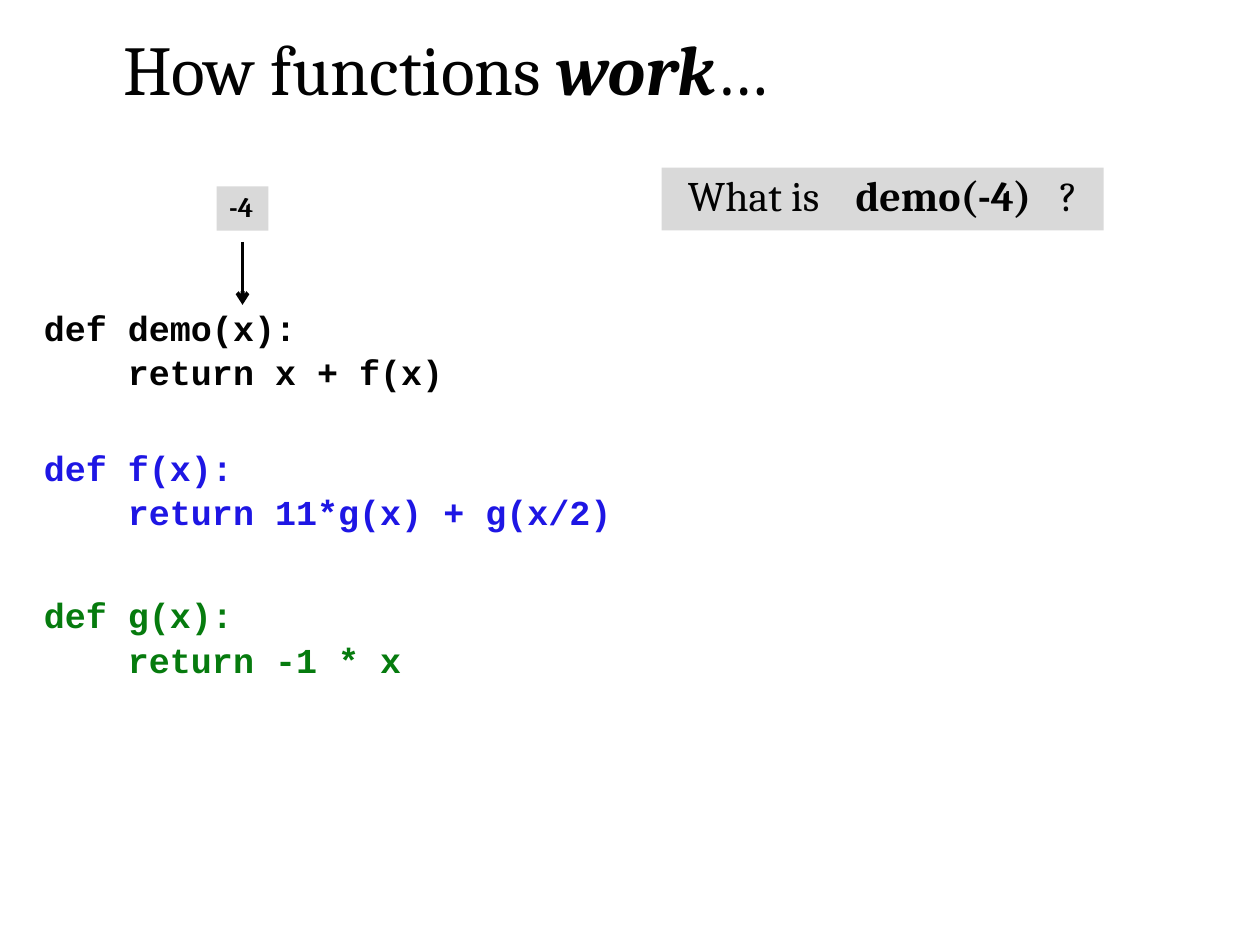
from dataclasses import dataclass
from lxml import etree
from pptx import Presentation
from pptx.dml.color import RGBColor
from pptx.enum import shapes, text
from pptx.oxml import ns
from pptx.util import Inches, Pt


@dataclass(frozen=True)
class Theme:
    """Colours, fonts and type sizes of the slide."""
    ink: str = "020202"
    blue: str = "1E16E4"
    green: str = "067B0E"
    gray: str = "D9D9D9"
    serif: str = "Cambria"
    mono: str = "Courier New"
    title: int = 40
    ask: int = 24
    code: int = 20
    value: int = 16


T = Theme()


def rgb(code):
    """Turn a hex code into a colour."""
    return RGBColor.from_string(code)


def apply(item, **vals):
    """Set each named attribute of an item."""
    for key, val in vals.items():
        setattr(item, key, val)


def place(shape, box):
    """Move a shape to a box given in inches."""
    names = ("left", "top", "width", "height")
    apply(shape, **dict(zip(names, map(Inches, box))))


def write(para, runs, size, face=T.serif, color=T.ink):
    """Add runs of text, each with its own weight and slant."""
    for words, bold, slant in runs:
        run = para.add_run()
        run.text = words
        apply(run.font, size=Pt(size), name=face, bold=bold, italic=slant)
        run.font.color.rgb = rgb(color)


def heading(slide, box):
    """Fill the title placeholder."""
    title = slide.shapes.title
    place(title, box)
    frame = title.text_frame
    apply(frame, vertical_anchor=text.MSO_ANCHOR.TOP, word_wrap=True,
          auto_size=text.MSO_AUTO_SIZE.NONE)
    para = frame.paragraphs[0]
    apply(para, alignment=text.PP_ALIGN.CENTER, line_spacing=0.93)
    write(para, [("How functions ", False, False), ("work", True, True),
                 ("…", False, False)], T.title)


def panel(slide, box, runs, size, wrap, tabs=()):
    """Draw a gray box with one line of text and optional tab stops."""
    shape = slide.shapes.add_shape(shapes.MSO_SHAPE.RECTANGLE,
                                   *map(Inches, box))
    shape.shadow.inherit = False
    shape.fill.solid()
    shape.fill.fore_color.rgb = rgb(T.gray)
    shape.line.fill.background()
    frame = shape.text_frame
    apply(frame, vertical_anchor=text.MSO_ANCHOR.TOP, word_wrap=wrap)
    para = frame.paragraphs[0]
    apply(para, alignment=text.PP_ALIGN.LEFT, line_spacing=0.93)
    if tabs:
        stops = etree.SubElement(para._p.get_or_add_pPr(), ns.qn("a:tabLst"))
        for pos in tabs:
            etree.SubElement(stops, ns.qn("a:tab"), pos=str(Inches(pos)),
                             algn="l")
    write(para, runs, size)
    return frame


def ask(slide, box):
    """Pose the question about the call."""
    frame = panel(slide, box, [("What is\t", False, False),
                               ("demo(-4)\t", True, False),
                               ("?", False, False)], T.ask, True, (1.33, 2.95))
    frame.margin_left = Inches(0.21)


def code(slide, box, lines, color):
    """Set one function in bold code type."""
    frame = slide.shapes.add_textbox(*map(Inches, box)).text_frame
    frame.word_wrap = True
    for i, line in enumerate(lines):
        para = frame.add_paragraph() if i else frame.paragraphs[0]
        apply(para, line_spacing=0.6, space_before=Pt(11 if i else 0))
        write(para, [(line, True, False)], T.code, T.mono, color)


def arg(slide, box):
    """Show the value passed in, with an arrow below it."""
    left, top, wide, high = box
    panel(slide, box, [("-4", True, False)], T.value, False)
    mid, start = left + wide / 2, top + high + 0.09
    line = slide.shapes.add_connector(
        shapes.MSO_CONNECTOR.STRAIGHT,
        *map(Inches, (mid, start, mid, start + 0.5)))
    line.line.color.rgb = rgb(T.ink)
    line.line.width = Pt(2.25)
    etree.SubElement(line.line._get_or_add_ln(), ns.qn("a:tailEnd"),
                     type="arrow")
    etree.SubElement(line._element.spPr, ns.qn("a:effectLst"))


def main():
    """Build the slide and save it."""
    deck = Presentation()
    apply(deck, slide_width=Inches(10), slide_height=Inches(7.5))
    slide = deck.slides.add_slide(deck.slide_layouts[5])
    heading(slide, (0.12, 0.21, 6.83, 0.77))
    ask(slide, (5.25, 1.33, 3.51, 0.5))
    arg(slide, (1.72, 1.48, 0.41, 0.35))
    for top, wide, color, lines in (
            (2.5, 4.63, T.ink, ("def demo(x):", "    return x + f(x)")),
            (3.61, 5.17, T.blue, ("def f(x):", "    return 11*g(x) + g(x/2)")),
            (4.78, 3.77, T.green, ("def g(x):", "    return -1 * x"))):
        code(slide, (0.25, top, wide, 0.67), lines, color)
    deck.save("out.pptx")


if __name__ == "__main__":
    main()
